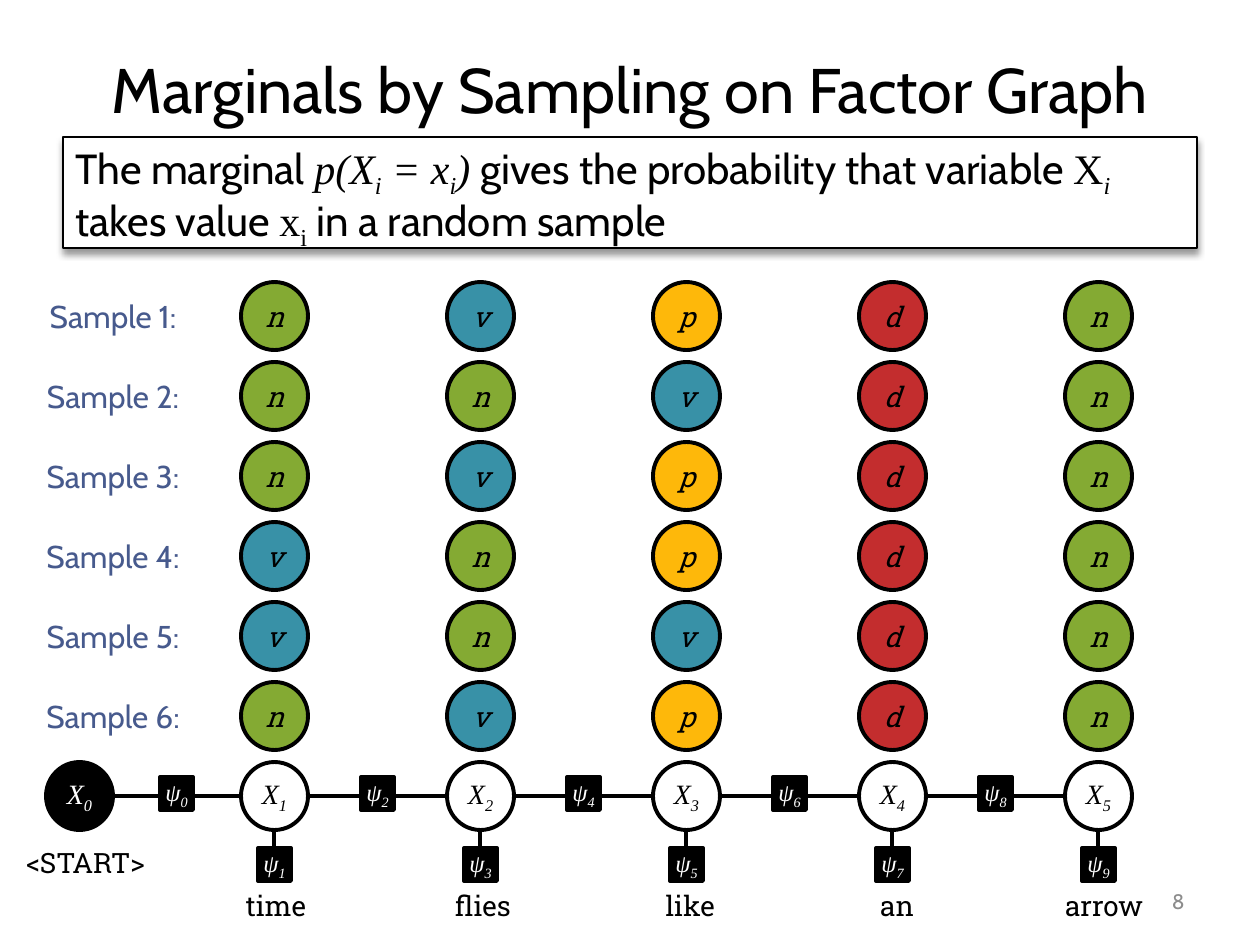
from lxml import etree
from pptx import Presentation
from pptx.dml.color import RGBColor
from pptx.enum import shapes, text
from pptx.oxml import ns
from pptx.util import Pt

PX = 914400 // 126
CABIN, SLAB, TIMES = "Cabin", "Roboto Slab", "Times New Roman"
BLACK, WHITE = "000000", "FFFFFF"
CENTER, MIDDLE = text.PP_ALIGN.CENTER, text.MSO_ANCHOR.MIDDLE

deck = Presentation()
deck.slide_width, deck.slide_height = 1260 * PX, 945 * PX
slide = deck.slides.add_slide(deck.slide_layouts[6])


def write(box, parts, size, color, align=CENTER, anchor=MIDDLE):
    """Fill a box with runs of (words, font, italic, subscript)."""
    frame = box.text_frame
    frame.vertical_anchor = anchor
    line = frame.paragraphs[0]
    line.alignment = align
    for words, font, italic, subscript in parts:
        run = line.add_run()
        run.text = words
        run.font.name, run.font.size, run.font.italic = font, Pt(size), italic
        run.font.color.rgb = RGBColor.from_string(color)
        if subscript:
            run.font._element.set("baseline", "-25000")


def draw(preset, left, top, width, height, fill, weight=2.25):
    """Add an outlined preset shape without text margins."""
    shape = slide.shapes.add_shape(preset, left * PX, top * PX, width * PX, height * PX)
    shape.shadow.inherit = False
    shape.fill.solid()
    shape.fill.fore_color.rgb = RGBColor.from_string(fill)
    shape.line.color.rgb = RGBColor.from_string(BLACK)
    shape.line.width = Pt(weight)
    frame = shape.text_frame
    frame.word_wrap = False
    frame.margin_left = frame.margin_right = frame.margin_top = frame.margin_bottom = 0
    return shape


OVAL, RECT = shapes.MSO_SHAPE.OVAL, shapes.MSO_SHAPE.RECTANGLE
NODE_W, NODE_H, FACTOR = 67, 68, 33
ROW_TOP, ROW_STEP = 282, 80
columns = [274 + 206 * i for i in range(5)]
nodes = [79] + columns
samples = ["nvpdn", "nnvdn", "nvpdn", "vnpdn", "vnvdn", "nvpdn"]
tag_colors = {"n": "84AA33", "v": "3891A7", "p": "FEB80A", "d": "C32D2E"}
chain_top = ROW_TOP + ROW_STEP * len(samples)
chain_y = chain_top + NODE_H // 2
emission_top = 848

# Plain text: words, font, size, colour, alignment, box
captions = [
    ("Marginals by Sampling on Factor Graph", CABIN, 36, BLACK, CENTER, (63, 38, 1134, 100)),
    ("8", CABIN, 12, "8C8C8C", text.PP_ALIGN.RIGHT, (903, 876, 294, 50)),
    ("<START>", SLAB, 16, BLACK, CENTER, (-5, 840, 181, 44)),
]
for i, word in enumerate(["time", "flies", "like", "an", "arrow"]):
    captions.append((word, SLAB, 16, BLACK, CENTER, (186 + 207 * i, 883, 180, 44)))
for i in range(len(samples)):
    captions.append((f"Sample {i + 1}:", CABIN, 18, "475A8D", CENTER,
                     (23, ROW_TOP + ROW_STEP * i, 180, NODE_H)))
for words, font, size, color, align, place in captions:
    caption = slide.shapes.add_textbox(*(n * PX for n in place))
    caption.text_frame.word_wrap = True
    write(caption, [(words, font, False, False)], size, color, align)

# Edges of the factor graph
edges = [(a + NODE_W // 2, chain_y, b - NODE_W // 2, chain_y) for a, b in zip(nodes, columns)]
edges += [(x, chain_top + NODE_H, x, emission_top) for x in columns]
for ends in edges:
    edge = slide.shapes.add_connector(shapes.MSO_CONNECTOR.STRAIGHT, *(n * PX for n in ends))
    edge.line.color.rgb = RGBColor.from_string(BLACK)
    edge.line.width = Pt(2.25)
    etree.SubElement(edge._element.spPr, ns.qn("a:effectLst"))

# Factors: even numbers between variables, odd numbers below them
factors = [(2 * i, (a + b) // 2, chain_y - 19) for i, (a, b) in enumerate(zip(nodes, columns))]
factors += [(2 * i + 1, x, emission_top) for i, x in enumerate(columns)]
for number, x, top in factors:
    factor = draw(RECT, x - FACTOR // 2, top, FACTOR, FACTOR, BLACK)
    write(factor, [("ψ", TIMES, True, False), (str(number), TIMES, True, True)],
          14, WHITE, anchor=text.MSO_ANCHOR.TOP)

for i, x in enumerate(nodes):
    fill, ink = (WHITE, BLACK) if i else (BLACK, WHITE)
    variable = draw(OVAL, x - NODE_W // 2, chain_top, NODE_W, NODE_H, fill)
    write(variable, [("X", TIMES, True, False), (str(i), TIMES, True, True)], 16, ink)

for row, tags in enumerate(samples):
    for x, tag in zip(columns, tags):
        value = draw(OVAL, x - NODE_W // 2, ROW_TOP + ROW_STEP * row, NODE_W, NODE_H,
                     tag_colors[tag])
        write(value, [(tag, SLAB, True, False)], 16, BLACK)

# Definition of the marginal
definition = draw(RECT, 63, 137, 1134, 111, WHITE, 0.75)
frame = definition.text_frame
frame.word_wrap = True
frame.margin_left = frame.margin_right = Pt(7.2)
frame.margin_top = frame.margin_bottom = Pt(3.6)
write(definition, [
    ("The marginal ", CABIN, False, False),
    ("p(X", TIMES, True, False), ("i", TIMES, True, True),
    (" = x", TIMES, True, False), ("i", TIMES, True, True), (") ", TIMES, True, False),
    ("gives the probability that variable ", CABIN, False, False),
    ("X", TIMES, False, False), ("i", TIMES, True, True),
    (" takes value ", CABIN, False, False),
    ("x", TIMES, False, False), ("i", TIMES, False, True),
    (" in a random sample", CABIN, False, False),
], 24, BLACK, text.PP_ALIGN.LEFT, text.MSO_ANCHOR.TOP)
frame.paragraphs[0].line_spacing = 0.9
frame.paragraphs[0].space_before = Pt(4.8)
effects = definition._element.spPr.find(ns.qn("a:effectLst"))
shadow = etree.SubElement(effects, ns.qn("a:outerShdw"), blurRad=str(Pt(4)), dist=str(Pt(3)),
                          dir="5400000", rotWithShape="0")
shade = etree.SubElement(shadow, ns.qn("a:srgbClr"), val=BLACK)
etree.SubElement(shade, ns.qn("a:alpha"), val="40000")

deck.save("out.pptx")
